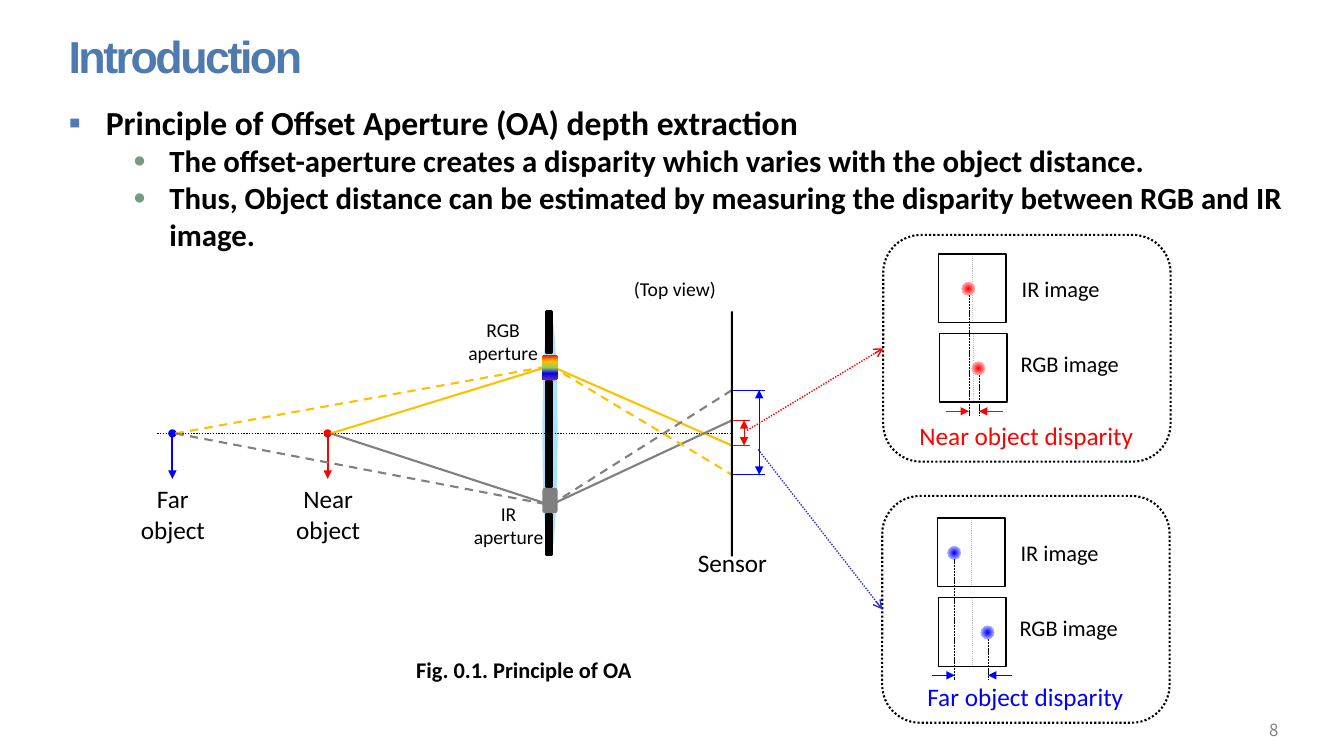
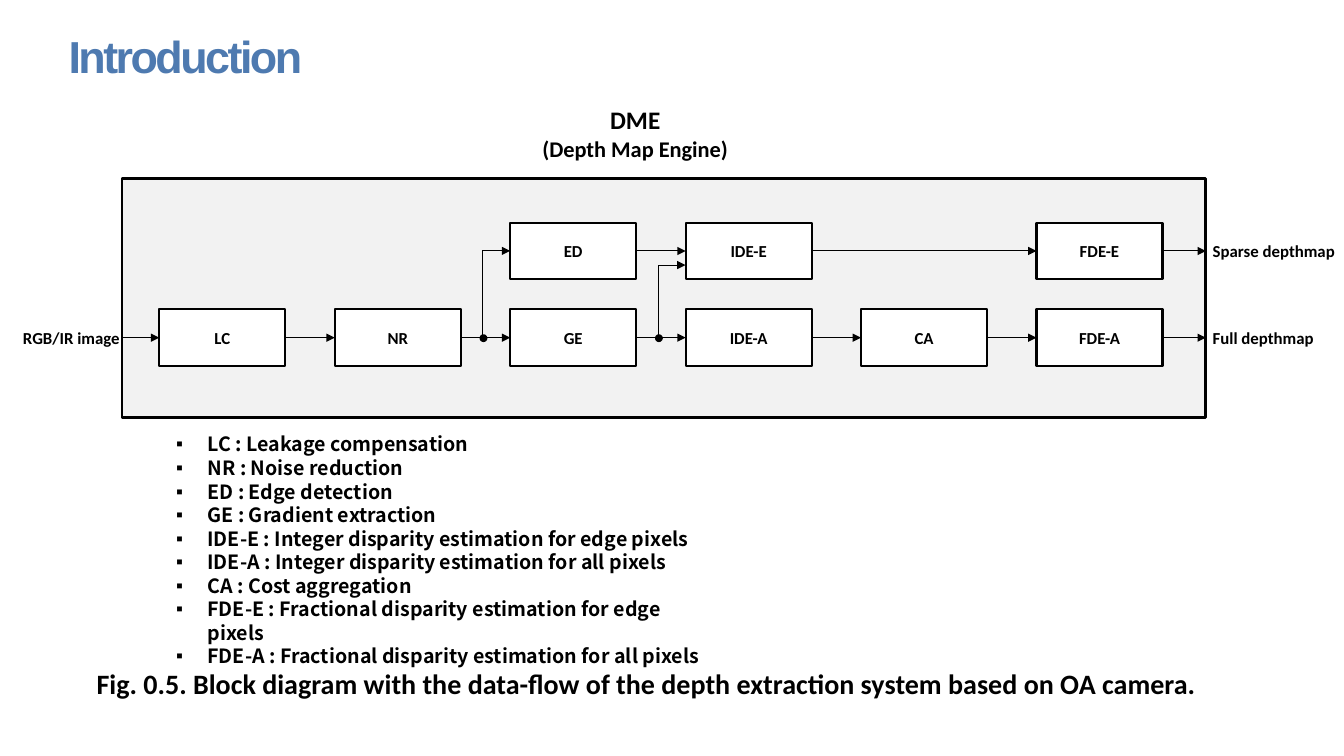
from pptx import Presentation
from pptx.dml.color import RGBColor
from pptx.enum.dml import MSO_LINE_DASH_STYLE as Dash
from pptx.enum.shapes import MSO_CONNECTOR as Link, MSO_SHAPE as Preset
from pptx.enum.text import MSO_ANCHOR as Anchor, PP_ALIGN as Align
from pptx.oxml import parse_xml
from pptx.oxml.ns import nsdecls, qn
from pptx.oxml.xmlchemy import OxmlElement
from pptx.util import Inches, Pt

BLACK = RGBColor(0x00, 0x00, 0x00)
WHITE = RGBColor(0xFF, 0xFF, 0xFF)
RED = RGBColor(0xFF, 0x00, 0x00)
BLUE = RGBColor(0x00, 0x00, 0xFF)
INDIGO = RGBColor(0x33, 0x33, 0xCC)
GOLD = RGBColor(0xFF, 0xC0, 0x00)
GREEN = RGBColor(0x92, 0xD0, 0x50)
PURPLE = RGBColor(0x70, 0x30, 0xA0)
GRAY = RGBColor(0x80, 0x80, 0x80)
SILVER = RGBColor(0xBF, 0xBF, 0xBF)
PALE = RGBColor(0xF2, 0xF2, 0xF2)
SKY = RGBColor(0x66, 0xCC, 0xFF)
STEEL = RGBColor(0x4E, 0x7A, 0xB0)
SAGE = RGBColor(0x76, 0x9A, 0x82)
SANS, TITLE_FONT, CJK = "Calibri", "Arial", "Noto Sans CJK KR"
WIDE_INSETS = (0.12, 0.06)
RAINBOW = ((0, RED), (25, GOLD), (51, GREEN), (74, BLUE), (100, PURPLE))
LINEAR = '<a:lin ang="5400000" scaled="0"/>'
RADIAL = ('<a:path path="circle"><a:fillToRect l="50000" t="50000" '
          'r="50000" b="50000"/></a:path>')


def child(parent, tag, **attributes):
    """Append a DrawingML element with attributes."""
    element = OxmlElement(tag)
    for name, value in attributes.items():
        element.set(name, str(value))
    parent.append(element)
    return element


def style(para, size, colour=BLACK, bold=False, name=SANS, align=Align.LEFT):
    """Set the font and alignment of a paragraph."""
    para.alignment = align
    font = para.font
    font.size, font.bold, font.name = Pt(size), bold, name
    font.color.rgb = colour


def bullet(para, symbol, margin, hang, colour=None, percent=None):
    """Give a paragraph a hanging bullet."""
    props = para._p.get_or_add_pPr()
    props.set("marL", str(Inches(margin)))
    props.set("indent", str(-Inches(hang)))
    if colour is not None:
        child(child(props, "a:buClr"), "a:srgbClr", val=colour)
    if percent:
        child(props, "a:buSzPct", val=percent * 1000)
    child(props, "a:buFont", typeface="Arial")
    child(props, "a:buChar", char=symbol)


def frame(page, at, anchor=Anchor.TOP, insets=(0.1, 0.05), wrap=True):
    """Add a text box and return its text frame."""
    text_frame = page.shapes.add_textbox(*map(Inches, at)).text_frame
    text_frame.word_wrap = wrap
    text_frame.vertical_anchor = anchor
    text_frame.margin_left = text_frame.margin_right = Inches(insets[0])
    text_frame.margin_top = text_frame.margin_bottom = Inches(insets[1])
    return text_frame


def paragraphs(text_frame, texts):
    """Fill a text frame with one paragraph per text."""
    for index, text in enumerate(texts):
        para = text_frame.add_paragraph() if index else text_frame.paragraphs[0]
        para.add_run().text = text
        yield para


def label(page, at, text, size, colour=BLACK, bold=False, align=Align.CENTER, wrap=True):
    """Add a label with one paragraph for each line of the text."""
    for para in paragraphs(frame(page, at, wrap=wrap), text.split("\n")):
        style(para, size, colour, bold, align=align)


def shape(page, preset, at, fill=None, line=None, width=1.5, dash=None):
    """Add a preset shape with plain fill and outline."""
    box = page.shapes.add_shape(preset, *map(Inches, at))
    box.shadow.inherit = False
    if fill is None:
        box.fill.background()
    else:
        box.fill.solid()
        box.fill.fore_color.rgb = fill
    if line is None:
        box.line.fill.background()
    else:
        box.line.color.rgb = line
        box.line.width = Pt(width)
        if dash:
            box.line.dash_style = dash
    return box


def gradient(box, stops, direction):
    """Replace the empty fill of a shape with a gradient."""
    colours = "".join(f'<a:gs pos="{pos * 1000}"><a:srgbClr val="{colour}"/></a:gs>'
                      for pos, colour in stops)
    fill = parse_xml(f'<a:gradFill {nsdecls("a")} rotWithShape="1"><a:gsLst>{colours}'
                     f'</a:gsLst>{direction}</a:gradFill>')
    props = box._element.spPr
    props.replace(props.find(qn("a:noFill")), fill)


def line(page, start, end, colour=BLACK, width=0.75, dash=None, head=None, tail=None,
         kind=Link.STRAIGHT):
    """Add a connector with optional dash and arrowheads."""
    link = page.shapes.add_connector(kind, *map(Inches, (*start, *end)))
    link.line.color.rgb = colour
    link.line.width = Pt(width)
    if dash:
        link.line.dash_style = dash
    for tag, arrow in (("a:headEnd", head), ("a:tailEnd", tail)):
        if arrow:
            child(link.line._get_or_add_ln(), tag, type=arrow)
    child(link._element.spPr, "a:effectLst")
    return link


def riser(page, start, end):
    """Add an elbow arrow that goes up first and then right."""
    (x0, y0), (x1, y1) = start, end
    mid_x, mid_y = (x0 + x1) / 2, (y0 + y1) / 2
    long, short = (y0 - y1) / 2, (x1 - x0) / 2
    link = line(page, (mid_x + long, mid_y + short), (mid_x - long, mid_y - short),
                tail="triangle", kind=Link.ELBOW)
    props = link._element.spPr
    props.find(qn("a:xfrm")).set("rot", "5400000")
    props.find(qn("a:prstGeom")).set("prst", "bentConnector2")


def new_page(deck, title):
    """Add a blank slide with the shared title."""
    page = deck.slides.add_slide(deck.slide_layouts[6])
    text_frame = frame(page, (0.56, 0.21, 12.4, 0.69), Anchor.MIDDLE, WIDE_INSETS)
    for para in paragraphs(text_frame, [title]):
        style(para, 32, STEEL, True, TITLE_FONT)
        para.runs[0]._r.get_or_add_rPr().set("spc", "-180")
    return page


def principle_text(page, at):
    """Add the heading point and its two sub-points."""
    texts = ("Principle of Offset Aperture (OA) depth extraction",
             "The offset-aperture creates a disparity which varies with the object distance.",
             "Thus, Object distance can be estimated by measuring the disparity between "
             "RGB and IR image.")
    for index, para in enumerate(paragraphs(frame(page, at, insets=WIDE_INSETS), texts)):
        if index:
            para.level = 1
            bullet(para, "●", 1, 0.36, SAGE, 70)
        else:
            bullet(para, "▪", 0.37, 0.37, STEEL, 105)
        style(para, 22 if index else 24, bold=True)


def disparity_panel(page, left, top, inset, spots, colour, caption):
    """Add a dotted panel comparing the spot in the IR and RGB images."""
    rows = top + inset
    for index, name in enumerate(("IR image", "RGB image")):
        x, y = left + 0.55 + 0.01 * index, rows + 0.79 * index
        line(page, (x + 0.34, y), (x + 0.34, y + 0.68), SILVER, dash=Dash.ROUND_DOT)
        shape(page, Preset.RECTANGLE, (x, y, 0.67, 0.68), line=BLACK, width=1)
        label(page, (left + 1.01 + 0.09 * index, y + 0.16 - 0.05 * index, 1.5, 0.37), name, 16)
        spot = left + spots[index]
        dot = shape(page, Preset.OVAL, (spot - 0.07, y + 0.28, 0.13, 0.13))
        gradient(dot, ((0, colour), (100, WHITE)), RADIAL)
        line(page, (spot, y + 0.41), (spot, rows + 1.61), width=0.5, dash=Dash.SQUARE_DOT)
        outer = spot + (0.24 if index else -0.23)
        line(page, (outer, rows + 1.56), (spot, rows + 1.56), colour, tail="triangle")
    label(page, (left + 0.2, top + 1.79, 2.44, 0.4), caption, 18, colour)
    return shape(page, Preset.ROUNDED_RECTANGLE, (left, top, 2.85, 2.25),
                 line=BLACK, dash=Dash.ROUND_DOT)


def aperture_stop(page, left, top):
    """Add the lens and the three opaque parts of the stop."""
    lens = shape(page, Preset.OVAL, (left, top, 0.15, 2.43), SKY)
    child(lens.fill._xPr.find(qn("a:solidFill"))[0], "a:alpha", val=56000)
    for offset, height in ((0.69, 1.05), (0, 0.41), (2.01, 0.41)):
        shape(page, Preset.RECTANGLE, (left + 0.04, top + offset, 0.05, height), BLACK, BLACK)


def optics(page, left, axis):
    """Add objects, rays, apertures and sensor along the optical axis."""
    stop, sensor = left + 3.82, left + 5.69
    aperture_stop(page, stop, axis - 1.21)
    line(page, (left, axis), (sensor, axis), width=1, dash=Dash.ROUND_DOT)
    objects = ((1.69, RED, "Near object", None, (0.12, -0.13)),
               (0.15, BLUE, "Far object", Dash.DASH, (0.41, -0.43)))
    for offset, colour, name, dash, hits in objects:
        x = left + offset
        shape(page, Preset.OVAL, (x - 0.03, axis - 0.03, 0.06, 0.06), colour, colour)
        for ray, hole, hit in zip((GOLD, GRAY), (-0.67, 0.71), hits):
            through = (stop + 0.08, axis + hole)
            line(page, (x + 0.03, axis), through, ray, 1.5, dash)
            line(page, through, (sensor + 0.01, axis + hit), ray, 1.5, dash)
        line(page, (x, axis + 0.04), (x, axis + 0.45), colour, 1.5, tail="triangle")
        label(page, (x - 0.56, axis + 0.45, 1.13, 0.71), name, 18)
        reach = 0.34 if dash else 0.19
        for hit in hits:
            line(page, (sensor, axis + hit), (sensor + reach, axis + hit), colour)
        span_x = sensor + reach - 0.06
        line(page, (span_x, axis + hits[1]), (span_x, axis + hits[0]), colour,
             head="triangle", tail="triangle")
    shape(page, Preset.RECTANGLE, (sensor, axis - 1.21, 0.02, 2.43), BLACK)
    label(page, (sensor - 0.55, axis + 1.08, 1.13, 0.4), "Sensor", 18)
    label(page, (sensor - 1.12, axis - 1.6, 1.13, 0.34), "(Top view)", 14)
    rgb_hole = shape(page, Preset.ROUNDED_RECTANGLE, (stop, axis - 0.78, 0.15, 0.25))
    gradient(rgb_hole, RAINBOW, LINEAR)
    shape(page, Preset.ROUNDED_RECTANGLE, (stop, axis + 0.54, 0.15, 0.25), GRAY)
    label(page, (stop - 0.95, axis - 1.2, 1.12, 0.57), "RGB\naperture", 14)
    label(page, (stop - 0.9, axis + 0.63, 1.13, 0.57), "IR\naperture", 14)


def principle_slide(deck):
    """Build the slide on the offset-aperture principle."""
    page = new_page(deck, "Introduction")
    principle_text(page, (0.56, 0.95, 12.4, 5.87))
    number = frame(page, (11.74, 7.03, 1.06, 0.37), Anchor.BOTTOM, WIDE_INSETS)
    for para in paragraphs(number, ["8"]):
        style(para, 12, GRAY, name=CJK, align=Align.RIGHT)
    optics(page, 1.56, 4.3)
    near = disparity_panel(page, 8.76, 2.33, 0.19, (0.85, 0.95), RED, "Near object disparity")
    far = disparity_panel(page, 8.75, 4.92, 0.22, (0.72, 1.05), BLUE, "Far object disparity")
    for start, end, colour, panel in (((7.41, 4.27), (8.76, 3.45), RED, near),
                                      ((7.52, 4.46), (8.75, 6.04), INDIGO, far)):
        line(page, start, end, colour, 1, Dash.ROUND_DOT, tail="arrow").end_connect(panel, 1)
    label(page, (4.03, 6.46, 2.79, 0.37), "Fig. 0.1. Principle of OA", 16, bold=True,
          align=Align.LEFT)


def engine(page, left, top, width, height):
    """Add the depth map engine with its blocks and data flow."""
    right, upper, lower = left + width, top + 0.72, top + 1.58
    first, pitch, block_width = left + 0.37, 1.74, 1.25
    shape(page, Preset.RECTANGLE, (left, top, width, height), PALE, BLACK, 2)
    rows = ((upper, ((2, "ED"), (3, "IDE-E"), (5, "FDE-E")), "Sparse depthmap"),
            (lower, tuple(enumerate(("LC", "NR", "GE", "IDE-A", "CA", "FDE-A"))),
             "Full depthmap"))
    for y, blocks, output in rows:
        previous = None
        for column, name in blocks:
            block = shape(page, Preset.RECTANGLE,
                          (first + pitch * column, y - 0.28, block_width, 0.56), WHITE, BLACK)
            block.text_frame.vertical_anchor = Anchor.MIDDLE
            for para in paragraphs(block.text_frame, [name]):
                style(para, 12, bold=True, align=Align.CENTER)
            if previous or column == 0:
                link = line(page, (left, y), (first, y), tail="triangle")
                if previous:
                    link.begin_connect(previous, 3)
                link.end_connect(block, 1)
            previous = block
        line(page, (right - 0.42, y), (right, y), tail="triangle").begin_connect(previous, 3)
        label(page, (right - 0.03, y - 0.15, 1.43, 0.3), output, 12, bold=True,
              align=Align.LEFT, wrap=False)
    label(page, (left - 1.08, lower - 0.15, 1.17, 0.3), "RGB/IR image", 12, bold=True,
          align=Align.LEFT, wrap=False)
    for column, entry in ((2, upper), (3, upper + 0.14)):
        x = first + pitch * column
        riser(page, (x - 0.27, lower), (x, entry))
        shape(page, Preset.OVAL, (x - 0.29, lower - 0.02, 0.05, 0.05), BLACK, BLACK, 2)


def legend(page, at):
    """Add the list of block abbreviations."""
    texts = ("LC : Leakage compensation", "NR : Noise reduction", "ED : Edge detection",
             "GE : Gradient extraction", "IDE-E : Integer disparity estimation for edge pixels",
             "IDE-A : Integer disparity estimation for all pixels", "CA : Cost aggregation",
             "FDE-E : Fractional disparity estimation for edge pixels",
             "FDE-A : Fractional disparity estimation for all pixels")
    for para in paragraphs(frame(page, at), texts):
        bullet(para, "▪", 0.31, 0.31)
        style(para, 14, bold=True, name=CJK)
        para.line_spacing = Pt(16.8)


def engine_slide(deck):
    """Build the slide with the block diagram."""
    page = new_page(deck, "Introduction")
    engine(page, 1.21, 1.77, 10.75, 2.37)
    legend(page, (1.65, 4.24, 5.57, 2.22))
    heading = frame(page, (4.19, 0.99, 4.22, 0.67))
    for para, size in zip(paragraphs(heading, ("DME", "(Depth Map Engine)")), (18, 16)):
        style(para, size, bold=True, align=Align.CENTER)
    label(page, (0.86, 6.56, 12.05, 0.44), "Fig. 0.5. Block diagram with the data-flow of the "
          "depth extraction system based on OA camera.", 20, bold=True, align=Align.LEFT)


def main():
    """Build and save the presentation."""
    deck = Presentation()
    deck.slide_width, deck.slide_height = Inches(13.33), Inches(7.5)
    principle_slide(deck)
    engine_slide(deck)
    deck.save("out.pptx")


if __name__ == "__main__":
    main()
